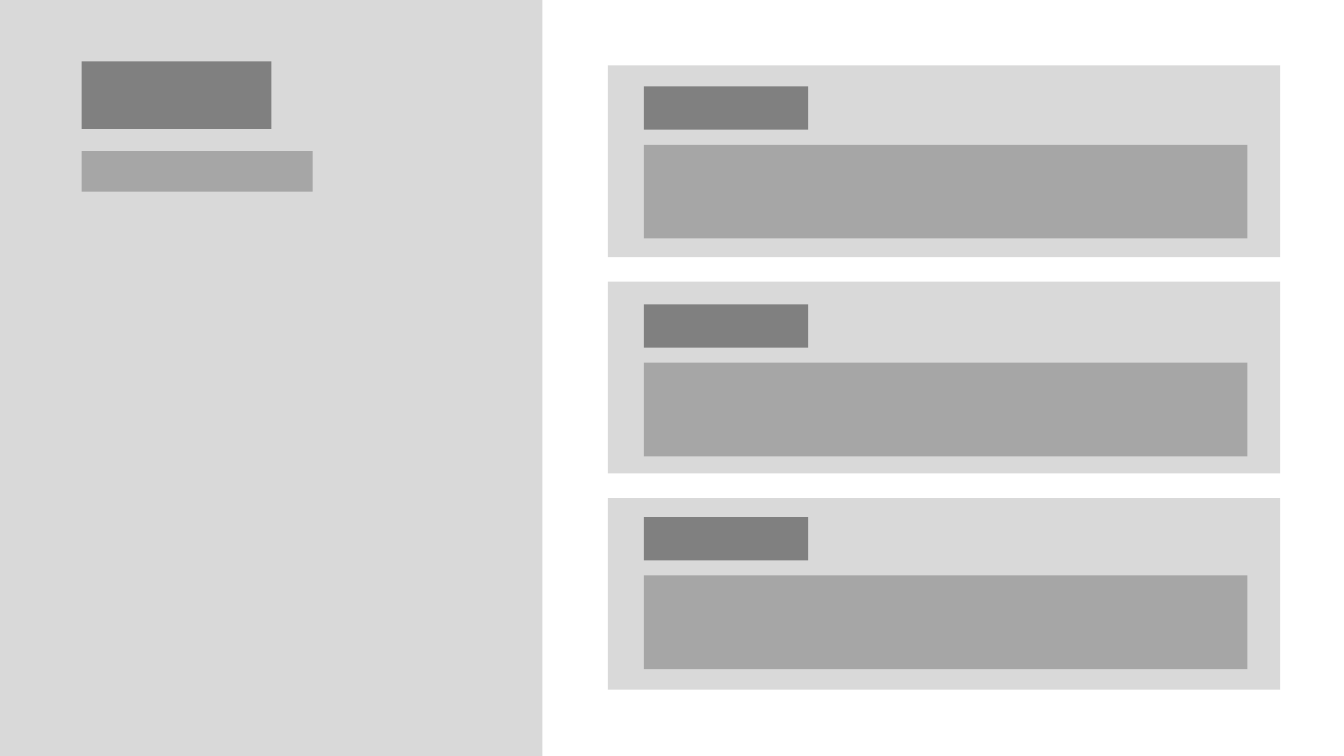
from pptx import Presentation
from pptx.dml.color import RGBColor as Rgb
from pptx.enum.shapes import MSO_SHAPE as Kind
from pptx.util import Cm

THEME = {"pale": "D9D9D9", "mid": "A6A6A6", "dark": "808080"}
SIZE = (33.87, 19.05)

SIDE = [
    ((0, 0, 13.67, 19.05), "pale"),
    ((2.06, 1.55, 4.78, 1.7), "dark"),
    ((2.06, 3.81, 5.82, 1.02), "mid"),
]
CARD = {"left": 15.32, "top": 1.65, "width": 16.94, "height": 4.83}
STEP = 5.45
INSET = 0.91
HEAD = (4.14, 1.09)
BODY = (15.21, 2.36)
DROP = 1.47
HEAD_TOPS = [2.18, 7.67, 13.03]


def add_box(slide, left, top, width, height, fill):
    box = slide.shapes.add_shape(
        Kind.RECTANGLE, Cm(left), Cm(top), Cm(width), Cm(height)
    )
    box.shadow.inherit = False
    box.fill.solid()
    box.fill.fore_color.rgb = Rgb.from_string(THEME[fill])
    box.line.fill.background()


def main():
    deck = Presentation()
    deck.slide_width, deck.slide_height = map(Cm, SIZE)
    slide = deck.slides.add_slide(deck.slide_layouts[6])

    for place, fill in SIDE:
        add_box(slide, *place, fill=fill)

    for row in range(len(HEAD_TOPS)):
        top = CARD["top"] + row * STEP
        add_box(slide, **{**CARD, "top": top}, fill="pale")

    left = CARD["left"] + INSET
    for top in HEAD_TOPS:
        add_box(slide, left, top, *HEAD, fill="dark")
        add_box(slide, left, top + DROP, *BODY, fill="mid")

    deck.save("out.pptx")


if __name__ == "__main__":
    main()
